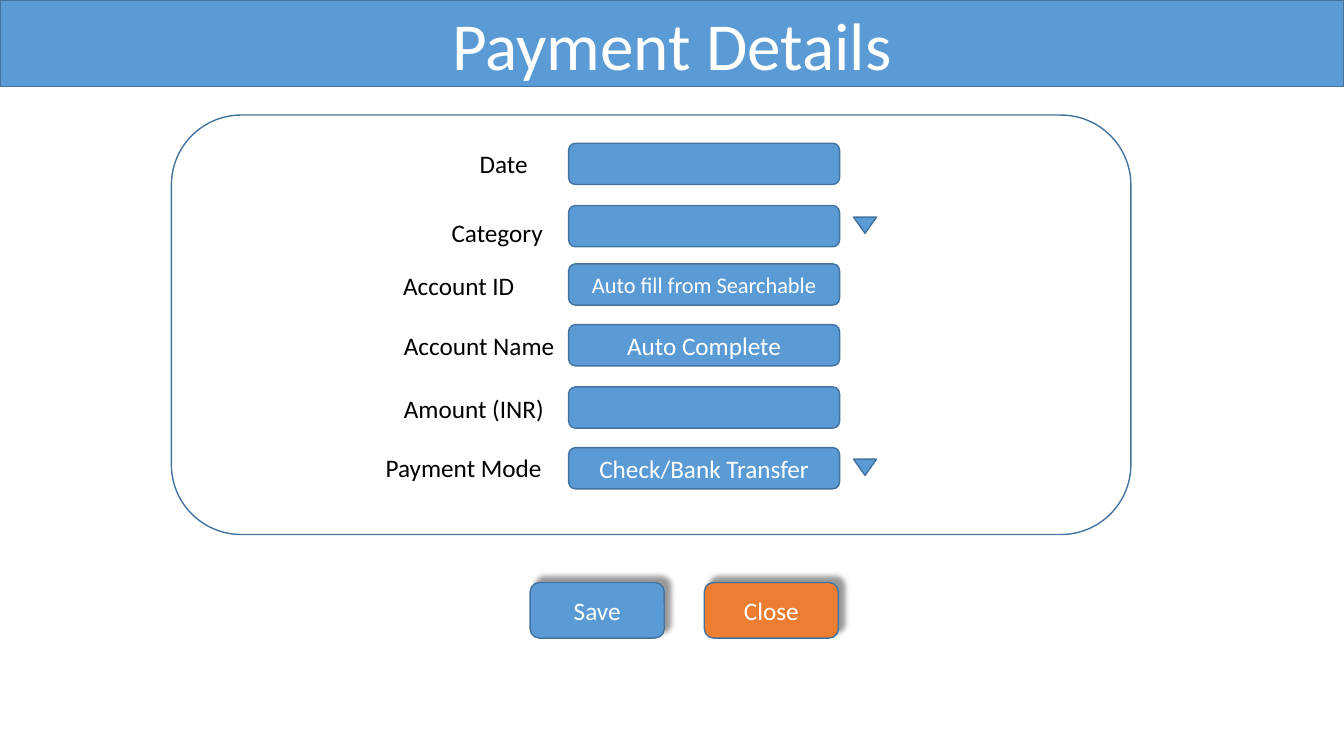
from lxml import etree
from pptx import Presentation
from pptx import util as u
from pptx.dml.color import RGBColor
from pptx.enum import shapes, text
from pptx.oxml import ns

BLUE = RGBColor(0x5B, 0x9B, 0xD5)
ORANGE = RGBColor(0xED, 0x7D, 0x31)
EDGE = RGBColor(0x43, 0x73, 0x9E)
WHITE = RGBColor(0xFF, 0xFF, 0xFF)
BLACK = RGBColor(0x00, 0x00, 0x00)

SLIDE_W, SLIDE_H = 33.87, 19.05
FIELD_LEFT, FIELD_W, FIELD_H = 14.33, 6.83, 1.04
CENTERED = {"vertical_anchor": text.MSO_ANCHOR.MIDDLE, "word_wrap": True,
            "auto_size": text.MSO_AUTO_SIZE.NONE}
LABEL = {"vertical_anchor": text.MSO_ANCHOR.TOP, "word_wrap": True,
         "auto_size": text.MSO_AUTO_SIZE.SHAPE_TO_FIT_TEXT}

# label, label left, label drop below field top, field top, value, value size, drop-down
ROWS = [
    ("Date", 11.84, 0, 3.61, "", 18, False),
    ("Category", 11.13, 0.18, 5.18, "", 18, True),
    ("Account ID", 9.91, 0.03, 6.65, "Auto fill from Searchable", 16, False),
    ("Account Name", 9.93, 0.03, 8.18, "Auto Complete", 18, False),
    ("Amount (INR)", 9.93, 0.03, 9.75, "", 18, False),
    ("Payment Mode", 9.47, 0, 11.28, "Check/Bank Transfer", 18, True),
]
BUTTONS = [("Save", 13.36, BLUE), ("Close", 17.75, ORANGE)]


def set_attrs(obj, values):
    for name, value in values.items():
        setattr(obj, name, value)


def write(sp, words, size, color, frame, align):
    tf = sp.text_frame
    set_attrs(tf, frame)
    p = tf.paragraphs[0]
    p.alignment = align
    r = p.add_run()
    r.text = words
    set_attrs(r.font, {"name": "Calibri", "size": u.Pt(size)})
    r.font.color.rgb = color


def paint(sp, fill):
    if fill is None:
        sp.fill.background()
    else:
        sp.fill.solid()
        sp.fill.fore_color.rgb = fill
    sp.line.color.rgb = EDGE
    sp.line.width = u.Pt(1)


def add_box(slide, kind, box, fill=BLUE, words="", size=18):
    sp = slide.shapes.add_shape(kind, *map(u.Cm, box))
    sp.shadow.inherit = False
    paint(sp, fill)
    if words:
        write(sp, words, size, WHITE, CENTERED, text.PP_ALIGN.CENTER)
    return sp


def add_title(slide, words):
    sp = slide.shapes.title
    box = zip(("left", "top", "width", "height"), map(u.Cm, (0, 0, SLIDE_W, 2.18)))
    set_attrs(sp, dict(box))
    paint(sp, BLUE)
    write(sp, words, 48, WHITE, CENTERED, text.PP_ALIGN.CENTER)


def add_label(slide, words, left, top):
    sp = slide.shapes.add_textbox(*map(u.Cm, (left, top, FIELD_LEFT - left, 1.03)))
    write(sp, words, 18, BLACK, LABEL, text.PP_ALIGN.LEFT)


def add_arrow(slide, top):
    sp = add_box(slide, shapes.MSO_SHAPE.ISOSCELES_TRIANGLE, (21.51, top, 0.58, 0.41))
    sp.rotation = 180


def add_shadow(sp):
    effects = sp._element.spPr.find(ns.qn("a:effectLst"))
    shadow = etree.SubElement(effects, ns.qn("a:outerShdw"), blurRad=str(u.Pt(4)),
                              dist=str(u.Pt(6)), dir="18900000", algn="bl",
                              rotWithShape="0")
    color = etree.SubElement(shadow, ns.qn("a:srgbClr"), val=str(BLACK))
    etree.SubElement(color, ns.qn("a:alpha"), val="40000")


def main():
    prs = Presentation()
    set_attrs(prs, {"slide_width": u.Cm(SLIDE_W), "slide_height": u.Cm(SLIDE_H)})
    slide = prs.slides.add_slide(prs.slide_layouts.get_by_name("Title Only"))
    rounded = shapes.MSO_SHAPE.ROUNDED_RECTANGLE

    # Heading and form panel
    add_title(slide, "Payment Details")
    add_box(slide, rounded, (4.32, 2.9, 24.18, 10.57), fill=None)

    # Form rows
    for label, left, drop, top, value, size, has_arrow in ROWS:
        add_label(slide, label, left, top + drop)
        add_box(slide, rounded, (FIELD_LEFT, top, FIELD_W, FIELD_H), BLUE, value, size)
        if has_arrow:
            add_arrow(slide, top + 0.29)

    # Buttons
    for words, left, fill in BUTTONS:
        add_shadow(add_box(slide, rounded, (left, 14.68, 3.38, 1.4), fill, words))

    prs.save("out.pptx")


if __name__ == "__main__":
    main()
